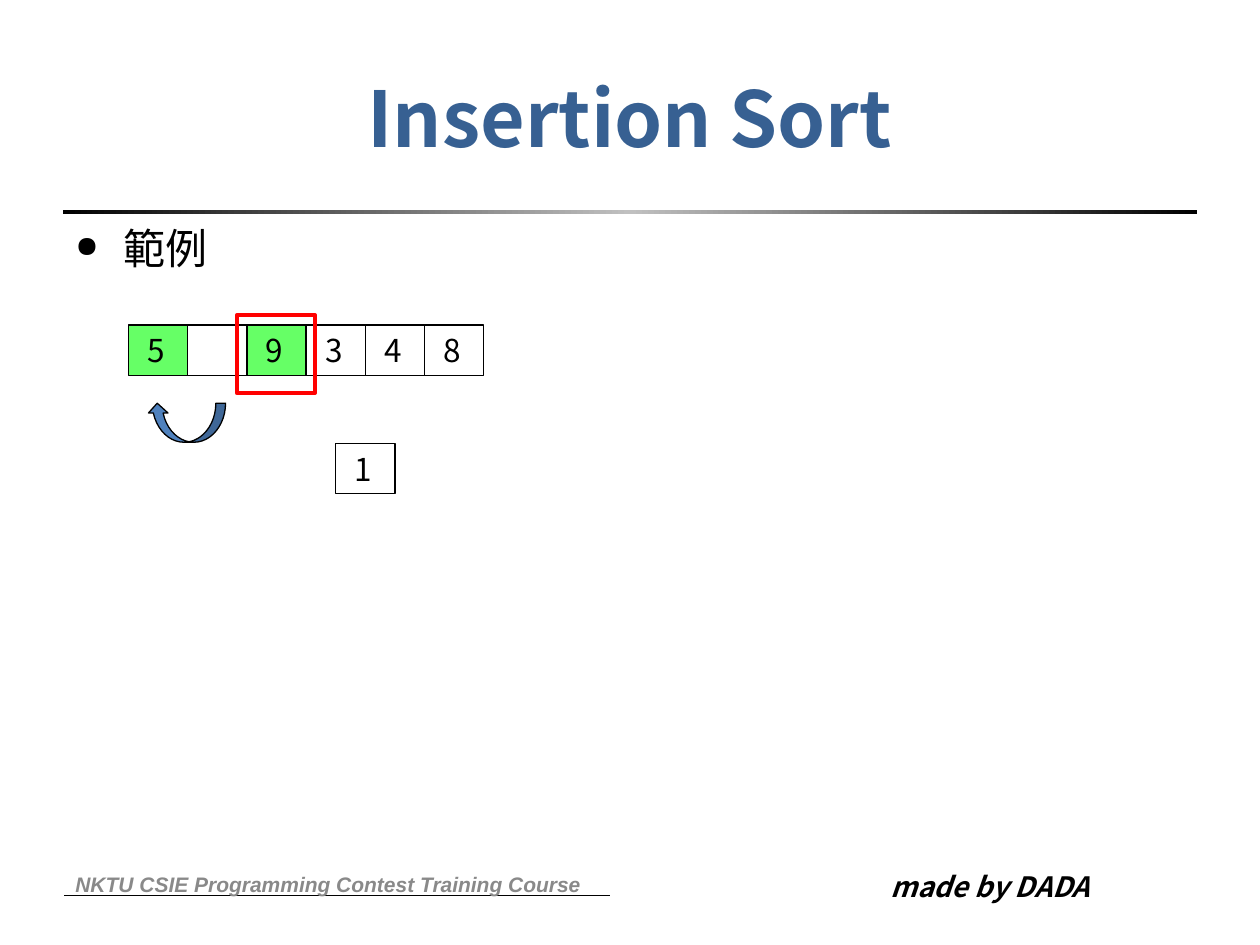
from copy import deepcopy

from lxml import etree
from pptx import Presentation
from pptx.dml.color import RGBColor
from pptx.enum.shapes import MSO_CONNECTOR, MSO_SHAPE
from pptx.enum.text import MSO_ANCHOR, PP_ALIGN
from pptx.oxml.ns import qn
from pptx.util import Inches, Pt

RECT = MSO_SHAPE.RECTANGLE
CURVED_ARROW = MSO_SHAPE.CURVED_DOWN_ARROW
STRAIGHT = MSO_CONNECTOR.STRAIGHT
TOP, MIDDLE = MSO_ANCHOR.TOP, MSO_ANCHOR.MIDDLE
LEFT, CENTER = PP_ALIGN.LEFT, PP_ALIGN.CENTER

BLACK = RGBColor(0x00, 0x00, 0x00)
WHITE = RGBColor(0xFF, 0xFF, 0xFF)
SILVER = RGBColor(0xC0, 0xC0, 0xC0)
GREY = RGBColor(0x89, 0x89, 0x89)
GREEN = RGBColor(0x66, 0xFF, 0x66)
RED = RGBColor(0xFF, 0x00, 0x00)
BLUE = RGBColor(0x4F, 0x81, 0xBD)
TITLE_BLUE = RGBColor(0x37, 0x60, 0x92)

CJK = "Noto Sans CJK SC"
SLIDE_W, SLIDE_H = 10, 7.5
MARGIN = 0.05 * SLIDE_W
CONTENT_W = SLIDE_W - 2 * MARGIN
CELL_W, CELL_H = 0.47, 0.4
ROW_X, ROW_Y = 1.02, 2.58
ARRAY = [("5", GREEN), ("", WHITE), ("9", GREEN),
         ("3", WHITE), ("4", WHITE), ("8", WHITE)]


def box(x, y, w, h):
    return Inches(x), Inches(y), Inches(w), Inches(h)


def write(tf, text, size=18, font=CJK, color=BLACK, bold=False, italic=False,
          align=LEFT, anchor=TOP):
    tf.word_wrap = True
    tf.vertical_anchor = anchor
    p = tf.paragraphs[0]
    p.alignment = align
    r = p.add_run()
    r.text = text
    r.font.size, r.font.name = Pt(size), font
    r.font.bold, r.font.italic = bold, italic
    r.font.color.rgb = color
    ea = etree.SubElement(r.font._element, qn("a:ea"))
    ea.set("typeface", font)
    return p


def add_text(s, bounds, text, **fmt):
    return write(s.shapes.add_textbox(*bounds).text_frame, text, **fmt)


def add_shape(shapes, kind, bounds, fill=None, line=BLACK, width=0.75):
    sp = shapes.add_shape(kind, *bounds)
    sp.shadow.inherit = False
    if fill is None:
        sp.fill.background()
    else:
        sp.fill.solid()
        sp.fill.fore_color.rgb = fill
    if line is None:
        sp.line.fill.background()
    else:
        sp.line.color.rgb = line
        sp.line.width = Pt(width)
    return sp


def add_cell(shapes, col, row, value, fill):
    """Place one array cell on the grid; col and row may be fractions."""
    bounds = box(ROW_X + col * CELL_W, ROW_Y + row * CELL_H, CELL_W, CELL_H)
    sp = add_shape(shapes, RECT, bounds, fill)
    if value:
        tf = sp.text_frame
        tf.margin_left = Inches(0.15)
        tf.margin_right = tf.margin_top = tf.margin_bottom = 0
        write(tf, value, anchor=MIDDLE)


def add_title_rule(s):
    sp = add_shape(s.shapes, RECT, box(MARGIN, 1.67, CONTENT_W, 0.03), line=None)
    sp.fill.gradient()
    sp.fill.gradient_angle = 0
    first = sp._element.spPr.find(".//" + qn("a:gs"))
    first.addnext(deepcopy(first))
    stops = zip(sp.fill.gradient_stops, (0, 0.5, 1), (BLACK, SILVER, BLACK))
    for stop, position, color in stops:
        stop.position = position
        stop.color.rgb = color


def add_footer(s):
    ln = s.shapes.add_connector(STRAIGHT, Inches(0.51), Inches(7.11),
                                Inches(4.84), Inches(7.11))
    ln.line.color.rgb = BLACK
    ln.line.width = Pt(0.5)
    etree.SubElement(ln._element.spPr, qn("a:effectLst"))
    add_text(s, box(6.97, 6.85, 2.52, 0.37), "made by DADA",
             size=16, bold=True, italic=True)
    add_text(s, box(MARGIN, 6.82, 4.26, 0.4),
             "NKTU CSIE Programming Contest Training Course",
             size=12, font="Arial", color=GREY, bold=True, italic=True,
             anchor=MIDDLE)


def add_bullet(p, indent, char, percent):
    pPr = p._p.get_or_add_pPr()
    pPr.set("marL", str(Inches(indent)))
    pPr.set("indent", str(-Inches(indent)))
    etree.SubElement(pPr, qn("a:buSzPct")).set("val", str(percent * 1000))
    etree.SubElement(pPr, qn("a:buChar")).set("char", char)


def add_array(s):
    add_cell(s.shapes, 3.5, 2.35, "1", WHITE)
    group = s.shapes.add_group_shape()
    for col, (value, fill) in enumerate(ARRAY):
        add_cell(group.shapes, col, 0, value, fill)
    add_shape(s.shapes, RECT, box(1.88, 2.5, 0.62, 0.62), line=RED, width=2.25)
    arrow = add_shape(s.shapes, CURVED_ARROW, box(1.17, 3.2, 0.62, 0.31), BLUE)
    arrow.rotation = 180


def main():
    prs = Presentation()
    prs.slide_width, prs.slide_height = Inches(SLIDE_W), Inches(SLIDE_H)
    s = prs.slides.add_slide(prs.slide_layouts[5])

    title = s.shapes.title
    title.left, title.top, title.width, title.height = box(
        MARGIN, 0.04 * SLIDE_H, CONTENT_W, 1.25)
    write(title.text_frame, "Insertion Sort", size=44, color=TITLE_BLUE,
          bold=True, align=CENTER, anchor=MIDDLE)

    add_title_rule(s)
    add_footer(s)
    add_array(s)
    p = add_text(s, box(MARGIN, 1.72, CONTENT_W, 4.95), "範例", size=24)
    p.space_before = Pt(4.8)
    add_bullet(p, 0.38, "●", 70)

    prs.save("out.pptx")


if __name__ == "__main__":
    main()
